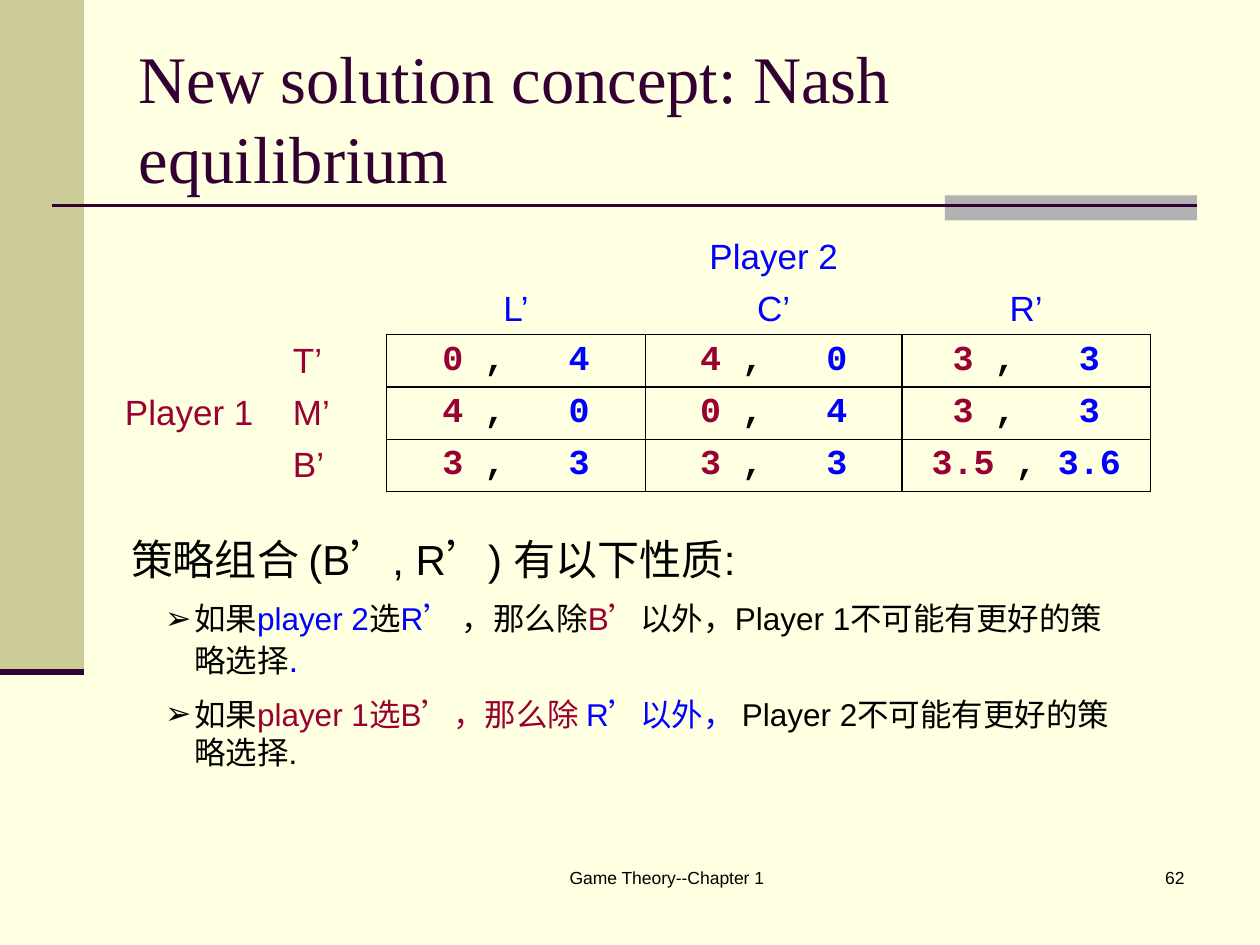
from lxml.etree import SubElement
from pptx import Presentation
from pptx.dml.color import RGBColor
from pptx.enum.shapes import MSO_CONNECTOR, MSO_SHAPE
from pptx.enum.text import MSO_ANCHOR, PP_ALIGN
from pptx.oxml.ns import qn
from pptx.util import Inches, Pt

CREAM = RGBColor(0xFF, 0xFF, 0xE1)
KHAKI = RGBColor(0xCC, 0xCC, 0x99)
GRAY = RGBColor(0xB2, 0xB2, 0xB2)
PLUM = RGBColor(0x33, 0x00, 0x33)
BLACK = RGBColor(0, 0, 0)
BLUE = RGBColor(0, 0, 0xFF)      # player 2
RED = RGBColor(0x99, 0x00, 0x33)  # player 1

COLS, ROWS = 120, 90  # slide grid, twelve units to the inch
NO_STYLE = "{2D5ABB26-0587-4C30-8999-92F81FD0307C}"


def grid(*units):
    return [Inches(u / 12) for u in units]


def add_run(p, text, color, size, font="Arial", bold=False):
    r = p.add_run()
    r.text = text
    r.font.name, r.font.size, r.font.bold = font, Pt(size), bold
    r.font.color.rgb = color
    return r


def add_text_box(s, box):
    tf = s.shapes.add_textbox(*grid(*box)).text_frame
    tf.word_wrap = True
    return tf


def add_bar(s, box, color):
    sp = s.shapes.add_shape(MSO_SHAPE.RECTANGLE, *grid(*box))
    sp.shadow.inherit = False
    sp.fill.solid()
    sp.fill.fore_color.rgb = color
    sp.line.fill.background()


def add_rule(s, x1, x2, y, width):
    line = s.shapes.add_connector(MSO_CONNECTOR.STRAIGHT, *grid(x1, y, x2, y))
    line.line.color.rgb = PLUM
    line.line.width = Pt(width)
    SubElement(line._element.spPr, qn("a:effectLst"))


def add_decoration(s):
    add_bar(s, (0, 0, 8, 64), KHAKI)
    add_bar(s, (90, 18.6, 24, 2.4), GRAY)
    add_rule(s, 5, 114, 19.6, 1.5)
    add_rule(s, 0, 8, 64, 3.5)


def add_title(s, box, text):
    title = s.shapes.title
    title.left, title.top, title.width, title.height = grid(*box)
    tf = title.text_frame
    tf.word_wrap = True
    tf.vertical_anchor = MSO_ANCHOR.MIDDLE
    p = tf.paragraphs[0]
    p.alignment = PP_ALIGN.LEFT
    add_run(p, text, PLUM, 38, "Times New Roman")


def add_footer(s, box, text, align):
    p = add_text_box(s, box).paragraphs[0]
    p.alignment = align
    add_run(p, text, BLACK, 10)


def add_borders(cell):
    tcPr = cell._tc.get_or_add_tcPr()
    for side in ("a:lnL", "a:lnR", "a:lnT", "a:lnB"):
        ln = SubElement(tcPr, qn(side), w=str(Pt(1)))
        fill = SubElement(ln, qn("a:solidFill"))
        SubElement(fill, qn("a:srgbClr"), val=str(BLACK))


def add_label(cell, text, color, align, anchor):
    cell.vertical_anchor = anchor
    p = cell.text_frame.paragraphs[0]
    p.alignment = align
    add_run(p, text, color, 20)


def add_payoff(cell, first, second):
    add_borders(cell)
    p = cell.text_frame.paragraphs[0]
    p.alignment = PP_ALIGN.CENTER
    mono = {"size": 20, "font": "Courier New", "bold": True}
    add_run(p, first, RED, **mono)
    add_run(p, " ,", BLACK, **mono)
    gap = add_run(p, " ", BLACK, **mono)
    if len(second) == 1:  # widen the gap by two characters
        gap.font._element.set("spc", "2400")
    add_run(p, second, BLUE, **mono)


def add_payoff_table(s, box, widths, payoffs):
    frame = s.shapes.add_table(5, 5, *grid(*box))
    table = frame.table
    table.first_row = table.horz_banding = False
    table._tbl.tblPr.find(qn("a:tableStyleId")).text = NO_STYLE
    for column, width in zip(table.columns, grid(*widths)):
        column.width = width
    for row in table.rows:
        row.height = grid(box[3] / 5)[0]

    # Players and their strategies
    center, left = PP_ALIGN.CENTER, PP_ALIGN.LEFT
    add_label(table.cell(0, 3), "Player 2", BLUE, center, MSO_ANCHOR.BOTTOM)
    table.cell(2, 0).merge(table.cell(4, 0))
    add_label(table.cell(2, 0), "Player 1", RED, left, MSO_ANCHOR.MIDDLE)
    for i, (across, down) in enumerate(zip("LCR", "TMB"), 2):
        add_label(table.cell(1, i), across + "’", BLUE, center, MSO_ANCHOR.BOTTOM)
        add_label(table.cell(i, 1), down + "’", RED, left, MSO_ANCHOR.MIDDLE)

    # Payoff pairs
    for i, row in enumerate(payoffs, 2):
        for j, pair in enumerate(row, 2):
            add_payoff(table.cell(i, j), *pair)
    for cell in table.iter_cells():
        cell.fill.background()


def add_properties(s, box, heading, items):
    tf = add_text_box(s, box)
    add_run(tf.paragraphs[0], heading, BLACK, 24)
    for item in items:
        p = tf.add_paragraph()
        p.level = 1
        p.space_before = Pt(9)
        pPr = p._p.get_or_add_pPr()
        pPr.set("marL", str(Inches(0.5)))
        pPr.set("indent", str(Inches(-0.23)))
        SubElement(pPr, qn("a:buFont"), typeface="Arial")
        SubElement(pPr, qn("a:buChar"), char="➢")
        for text, color, size in item:
            add_run(p, text, color, size)


def main():
    prs = Presentation()
    prs.slide_width, prs.slide_height = grid(COLS, ROWS)
    s = prs.slides.add_slide(prs.slide_layouts[5])
    s.background.fill.solid()
    s.background.fill.fore_color.rgb = CREAM

    add_decoration(s)
    add_title(s, (12, 3.6, 102, 15), "New solution concept: Nash equilibrium")
    add_payoff_table(
        s, (10.7, 22, 98.9, 24.7), (16, 10.1, 24.7, 24.4, 23.7),
        [[("0", "4"), ("4", "0"), ("3", "3")],
         [("4", "0"), ("0", "4"), ("3", "3")],
         [("3", "3"), ("3", "3"), ("3.5", "3.6")]])
    add_properties(
        s, (11.3, 50.2, 97, 24.5), "策略组合 (B’, R’) 有以下性质:",
        [[("如果", BLACK, 18), ("player 2", BLUE, 18), ("选", BLACK, 18),
          ("R’ ", BLUE, 18), ("，那么除", BLACK, 18), ("B’", RED, 18),
          ("以外，Player 1不可能有更好的策略选择", BLACK, 18), (".", BLUE, 20)],
         [("如果", BLACK, 18), ("player 1选B’，那么除 ", RED, 18),
          ("R’以外， ", BLUE, 18),
          ("Player 2不可能有更好的策略选择.", BLACK, 18)]])
    add_footer(s, (44, 82, 39, 6), "Game Theory--Chapter 1", PP_ALIGN.CENTER)
    add_footer(s, (89, 82, 25, 6), "62", PP_ALIGN.RIGHT)
    prs.save("out.pptx")


if __name__ == "__main__":
    main()
